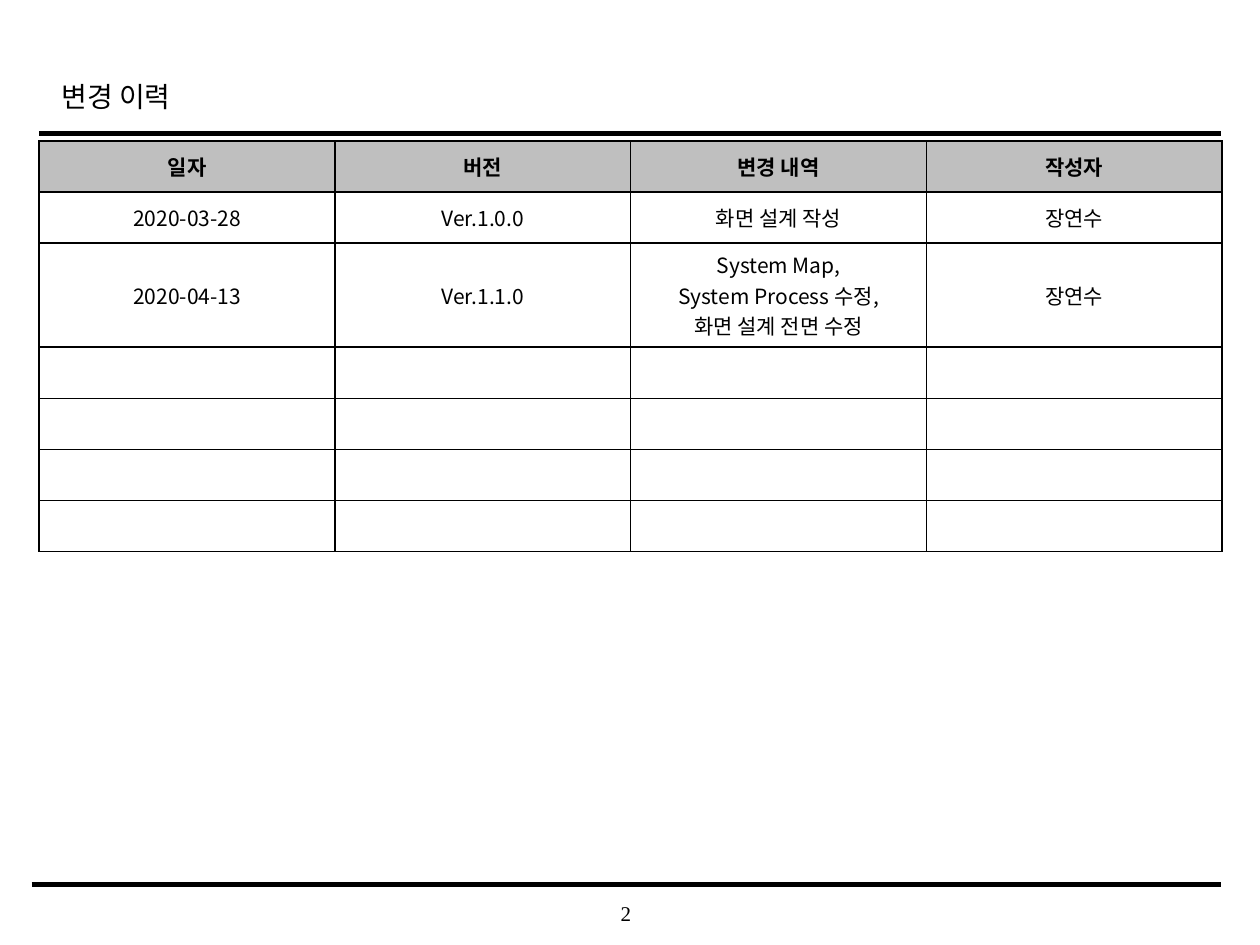
import pptx
import pptx.dml.color
import pptx.enum.shapes
import pptx.enum.text
import pptx.oxml
import pptx.oxml.ns
import pptx.util
from lxml import etree

Cm, Pt = pptx.util.Cm, pptx.util.Pt
PP_ALIGN = pptx.enum.text.PP_ALIGN
MIDDLE = pptx.enum.text.MSO_ANCHOR.MIDDLE
qn = pptx.oxml.ns.qn

KOREAN = "Noto Sans CJK KR"
BLACK, GREY, WHITE = "000000", "BFBFBF", "FFFFFF"
HEADINGS = ["일자", "버전", "변경 내역", "작성자"]
REVISIONS = [
    ["2020-03-28", "Ver.1.0.0", "화면 설계 작성", "장연수"],
    ["2020-04-13", "Ver.1.1.0",
     "System Map,\nSystem Process 수정,\n화면 설계 전면 수정", "장연수"],
]
EMPTY_ROWS = 4
ROW_HEIGHT, TALL_ROW_HEIGHT = 1.03, 2.1


def rgb(value):
    return pptx.dml.color.RGBColor.from_string(value)


def style(paragraph, size, face, align, bold=False):
    paragraph.alignment = align
    font = paragraph.font
    font.size, font.name, font.bold = Pt(size), face, bold
    font.color.rgb = rgb(BLACK)
    # East Asian letters take their face from a:ea
    latin = font._element.find(qn("a:latin"))
    east_asian = etree.Element(qn("a:ea"), typeface=face)
    latin.addnext(east_asian)


def add_rule(slide, left, top, width, weight):
    rule = slide.shapes.add_connector(
        pptx.enum.shapes.MSO_CONNECTOR.STRAIGHT,
        Cm(left), Cm(top), Cm(left + width), Cm(top))
    rule.line.color.rgb = rgb(BLACK)
    rule.line.width = Pt(weight)
    etree.SubElement(rule._element.spPr, qn("a:effectLst"))


def add_header(slide, left, top, width):
    heading = slide.shapes.title
    heading.left, heading.top = Cm(left + 0.2), Cm(top)
    heading.width, heading.height = Cm(19.18), Cm(1.27)
    frame = heading.text_frame
    frame.text = "변경 이력"
    frame.auto_size = pptx.enum.text.MSO_AUTO_SIZE.NONE
    frame.vertical_anchor = MIDDLE
    frame.paragraphs[0].line_spacing = 1.2
    style(frame.paragraphs[0], 16, KOREAN, PP_ALIGN.LEFT)
    add_rule(slide, left, top + 1.45, width, 2.5)


def add_borders(cell):
    properties = cell._tc.get_or_add_tcPr()
    for position, side in enumerate(("lnL", "lnR", "lnT", "lnB")):
        border = etree.Element(qn(f"a:{side}"), w=str(Pt(1)))
        fill = etree.SubElement(border, qn("a:solidFill"))
        etree.SubElement(fill, qn("a:srgbClr"), val=BLACK)
        properties.insert(position, border)


def add_history(slide, left, top, width):
    rows = [HEADINGS, *REVISIONS] + [[""] * len(HEADINGS)] * EMPTY_ROWS
    heights = [TALL_ROW_HEIGHT if any("\n" in text for text in row)
               else ROW_HEIGHT for row in rows]
    history = slide.shapes.add_table(
        len(rows), len(HEADINGS), Cm(left), Cm(top),
        Cm(width), Cm(sum(heights))).table
    for r, (row, height) in enumerate(zip(rows, heights)):
        history.rows[r].height = Cm(height)
        for c, text in enumerate(row):
            cell = history.cell(r, c)
            cell.text = text
            cell.vertical_anchor = MIDDLE
            cell.fill.solid()
            cell.fill.fore_color.rgb = rgb(GREY if r == 0 else WHITE)
            add_borders(cell)
            for paragraph in cell.text_frame.paragraphs:
                style(paragraph, 12, KOREAN, PP_ALIGN.CENTER, bold=r == 0)


def add_footer(slide, left, top, width):
    add_rule(slide, left, top, width, 3)
    number = slide.shapes.add_textbox(
        Cm(left + 9.34), Cm(top + 0.15), Cm(5.28), Cm(0.84))
    frame = number.text_frame
    frame.word_wrap = True
    frame.margin_left = frame.margin_right = 0
    frame.margin_top = frame.margin_bottom = 0
    frame.vertical_anchor = MIDDLE
    frame.text = "2"
    style(frame.paragraphs[0], 12, "Times New Roman", PP_ALIGN.CENTER)


def main():
    deck = pptx.Presentation()
    deck.slide_width, deck.slide_height = Cm(25.4), Cm(19.05)
    slide = deck.slides.add_slide(deck.slide_layouts[5])
    # Title and rule
    add_header(slide, 0.79, 1.24, 23.83)
    # Revision table
    add_history(slide, 0.79, 2.84, 23.85)
    # Rule and page number
    add_footer(slide, 0.64, 17.83, 23.98)
    deck.save("out.pptx")


if __name__ == "__main__":
    main()
